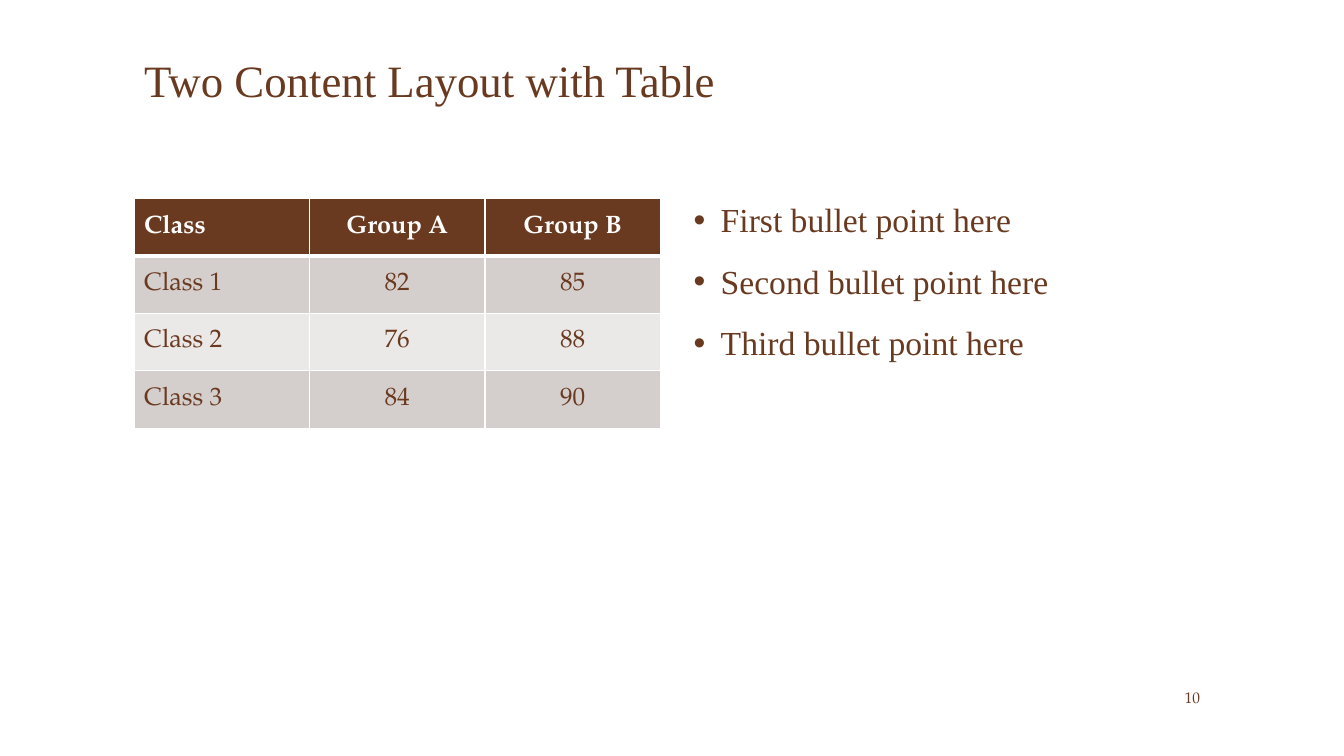
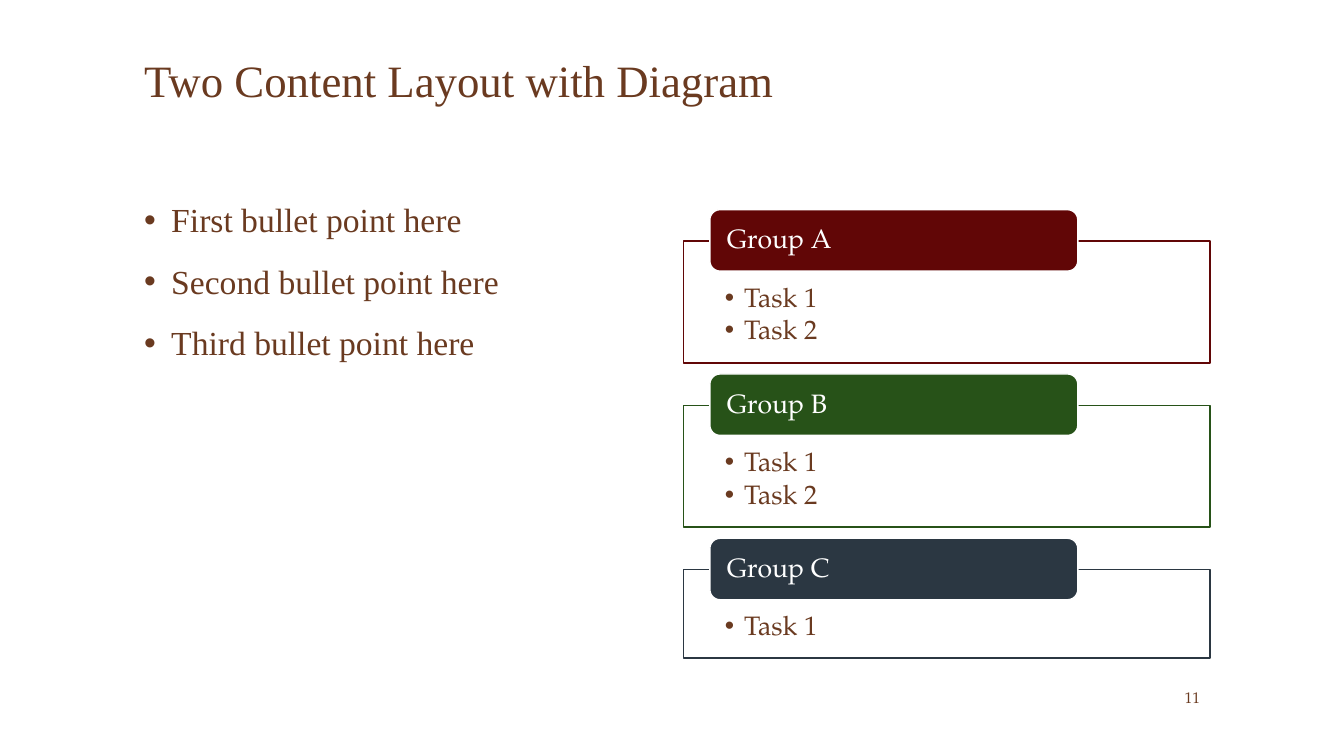
from lxml import etree
from pptx import Presentation
from pptx import util as u
from pptx.dml.color import RGBColor
from pptx.enum import shapes, text
from pptx.oxml.ns import qn

BROWN, WHITE = "6A3A20", "FFFFFF"
BANDS = ("D4CECD", "EBE8E8")
SERIF, PAGELLA = "Times New Roman", "TeX Gyre Pagella"
LEFT, RIGHT, TOP, COLUMN = 1.33, 6.78, 1.97, 5.22
BULLETS = ["First bullet point here", "Second bullet point here", "Third bullet point here"]


def rgb(value):
    return RGBColor.from_string(value)


def box(*lengths):
    return [u.Inches(n) for n in lengths]


def add_bullet(p, color, indent):
    pPr = p._p.get_or_add_pPr()
    pPr.set("marL", str(u.Inches(indent)))
    pPr.set("indent", str(-u.Inches(indent)))
    buClr = etree.SubElement(pPr, qn("a:buClr"))
    etree.SubElement(buClr, qn("a:srgbClr"), val=color)
    etree.SubElement(pPr, qn("a:buFont"), typeface="Arial")
    etree.SubElement(pPr, qn("a:buChar"), char="•")


def write(tf, lines, size=18, font=PAGELLA, color=BROWN, bold=False, align="LEFT",
          anchor="TOP", insets=(0.1, 0.05, 0.1, 0.05), spacing=1.0, before=0, after=0, indent=0):
    tf.word_wrap = True
    tf.vertical_anchor = text.MSO_ANCHOR[anchor]
    tf.margin_left, tf.margin_top, tf.margin_right, tf.margin_bottom = box(*insets)
    for i, line in enumerate(lines):
        p = tf.add_paragraph() if i else tf.paragraphs[0]
        p.alignment = text.PP_ALIGN[align]
        p.line_spacing = spacing
        p.space_before, p.space_after = u.Pt(before), u.Pt(after)
        if indent:
            add_bullet(p, color, indent)
        r = p.add_run()
        r.text = line
        r.font.size, r.font.name, r.font.bold = u.Pt(size), font, bold
        r.font.color.rgb = rgb(color)


def set_borders(cell, bottom):
    tcPr = cell._tc.get_or_add_tcPr()
    for side, width in (("L", 1), ("R", 1), ("T", 1), ("B", bottom)):
        ln = etree.SubElement(tcPr, qn("a:ln" + side), w=str(u.Pt(width)))
        fill = etree.SubElement(ln, qn("a:solidFill"))
        etree.SubElement(fill, qn("a:srgbClr"), val=WHITE)


class Deck:
    def __init__(self):
        self.prs = Presentation()
        self.prs.slide_width, self.prs.slide_height = box(13.33, 7.5)
        self.s = None

    def slide(self, title, number):
        self.s = self.prs.slides.add_slide(self.prs.slide_layouts[5])
        sp = self.s.shapes.title
        sp.left, sp.top, sp.width, sp.height = box(LEFT, 0.47, 10.66, 1.28)
        sp.text_frame.auto_size = text.MSO_AUTO_SIZE.NONE
        write(sp.text_frame, [title], size=32, font=SERIF)
        sp = self.s.shapes.add_textbox(*box(11.22, 6.75, 0.78, 0.33))
        write(sp.text_frame, [str(number)], size=11, align="RIGHT", anchor="MIDDLE")

    def bullets(self, left, lines):
        sp = self.s.shapes.add_textbox(*box(left, TOP, COLUMN, 4.67))
        write(sp.text_frame, lines, size=24, font=SERIF, spacing=0.9, before=18, indent=0.27)

    def table(self, left, rows):
        frame = self.s.shapes.add_table(len(rows), len(rows[0]),
                                        *box(left, TOP, COLUMN, 0.57 * len(rows)))
        for i, row in enumerate(rows):
            header = i == 0
            for j, value in enumerate(row):
                cell = frame.table.cell(i, j)
                set_borders(cell, 3 if header else 1)
                cell.fill.solid()
                cell.fill.fore_color.rgb = rgb(BROWN if header else BANDS[(i - 1) % 2])
                write(cell.text_frame, [value], color=WHITE if header else BROWN,
                      bold=header, align="CENTER" if j else "LEFT")
                cell.vertical_anchor = text.MSO_ANCHOR.MIDDLE

    def shape(self, kind, at, fill, line):
        sp = self.s.shapes.add_shape(shapes.MSO_SHAPE[kind], *box(*at))
        sp.shadow.inherit = False
        sp.fill.solid()
        sp.fill.fore_color.rgb = rgb(fill)
        sp.line.color.rgb = rgb(line)
        sp.line.width = u.Pt(1)
        return sp.text_frame

    def task_group(self, left, top, height, name, tasks, color):
        tf = self.shape("RECTANGLE", (left, top, COLUMN, height), WHITE, color)
        write(tf, tasks, size=19, insets=(0.41, 0.43, 0.41, 0.15),
              spacing=0.9, after=2.85, indent=0.19)
        tf = self.shape("ROUNDED_RECTANGLE", (left + 0.26, top - 0.31, 3.65, 0.61), color, WHITE)
        write(tf, [name], size=19, color=WHITE, anchor="MIDDLE",
              insets=(0.14, 0.03, 0.14, 0.03), spacing=0.9)

    def task_groups(self, left, groups):
        top = 2.39
        for name, tasks, color in groups:
            height = 0.55 + 0.33 * len(tasks)
            self.task_group(left, top, height, name, tasks, color)
            top += height + 0.42


def main():
    deck = Deck()
    deck.slide("Two Content Layout with Table", 10)
    deck.table(LEFT, [
        ("Class", "Group A", "Group B"),
        ("Class 1", "82", "85"),
        ("Class 2", "76", "88"),
        ("Class 3", "84", "90"),
    ])
    deck.bullets(RIGHT, BULLETS)

    deck.slide("Two Content Layout with Diagram", 11)
    deck.bullets(LEFT, BULLETS)
    deck.task_groups(RIGHT, [
        ("Group A", ["Task 1", "Task 2"], "610606"),
        ("Group B", ["Task 1", "Task 2"], "275218"),
        ("Group C", ["Task 1"], "2B3742"),
    ])
    deck.prs.save("out.pptx")


if __name__ == "__main__":
    main()
